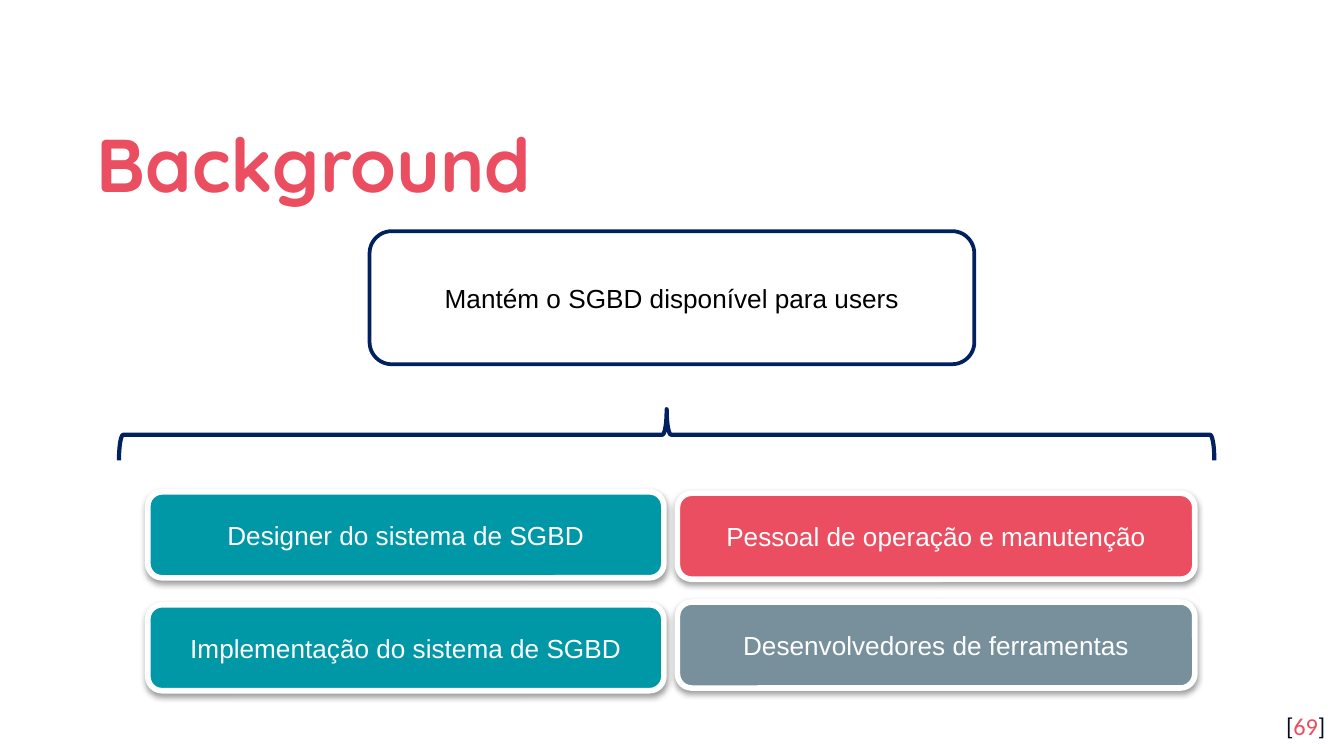
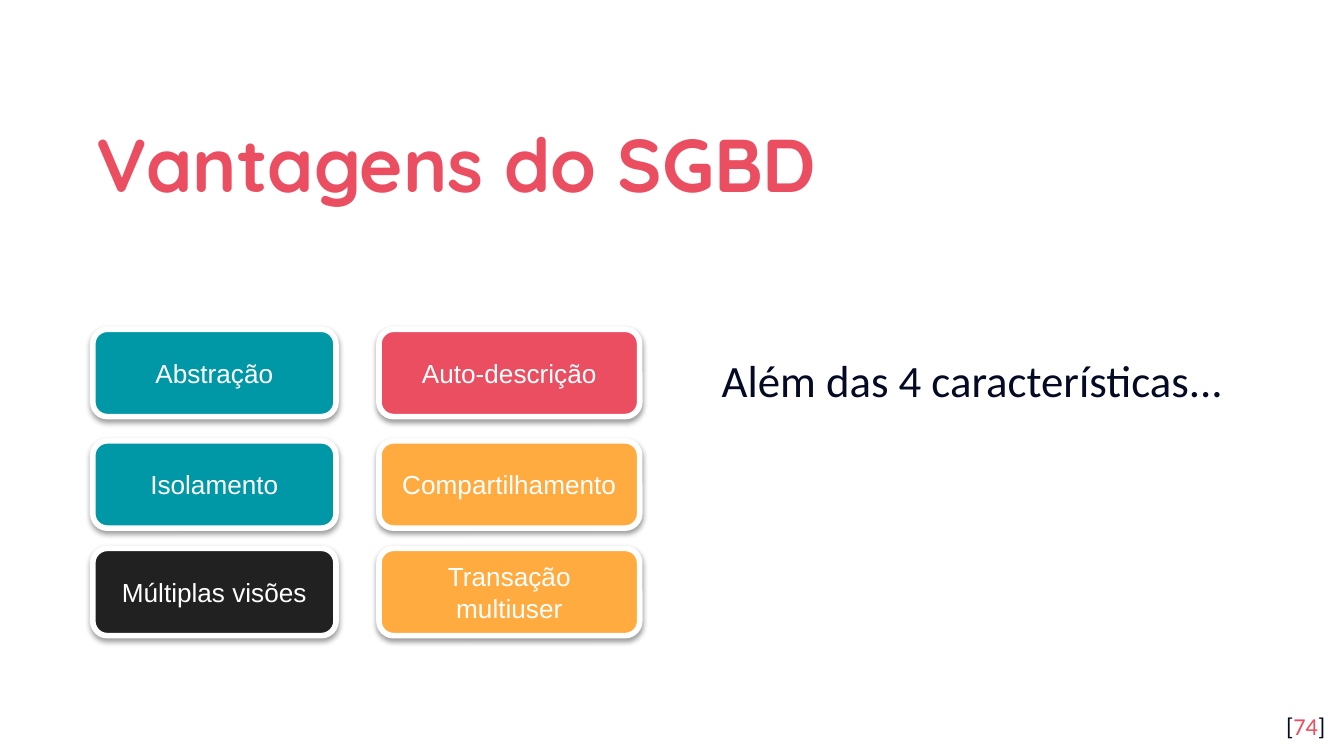
from dataclasses import dataclass

from lxml import etree
from pptx import Presentation
from pptx.dml.color import RGBColor
from pptx.enum.shapes import MSO_SHAPE
from pptx.enum.text import MSO_ANCHOR, MSO_AUTO_SIZE, PP_ALIGN
from pptx.oxml.ns import qn
from pptx.util import Emu, Inches, Pt

ROUNDED = MSO_SHAPE.ROUNDED_RECTANGLE
BRACE = MSO_SHAPE.LEFT_BRACE
TOP, MIDDLE = MSO_ANCHOR.TOP, MSO_ANCHOR.MIDDLE
LEFT, CENTER, RIGHT, JUSTIFY = (
    PP_ALIGN.LEFT, PP_ALIGN.CENTER, PP_ALIGN.RIGHT, PP_ALIGN.JUSTIFY)
NO_AUTOFIT = MSO_AUTO_SIZE.NONE
TITLE_ONLY, TITLE_AND_BODY = 5, 1


@dataclass(frozen=True)
class Theme:
    white: str = "FFFFFF"
    black: str = "000000"
    ink: str = "040A24"
    red: str = "EA4E60"
    teal: str = "0097A7"
    slate: str = "78909C"
    amber: str = "FFAB40"
    charcoal: str = "212121"
    navy: str = "002060"
    title_font: str = "Quicksand"
    body_font: str = "Calibri"
    box_font: str = "Arial"
    title_size: int = 40
    body_size: int = 24
    box_size: int = 14
    number_size: int = 13


THEME = Theme()


def rgb(color):
    return RGBColor.from_string(color)


def place(shape, left, top, width, height):
    shape.left, shape.top = Inches(left), Inches(top)
    shape.width, shape.height = Inches(width), Inches(height)


def set_frame(frame, anchor, inset_y=0.1):
    frame.word_wrap = True
    frame.auto_size = NO_AUTOFIT
    frame.vertical_anchor = anchor
    frame.margin_left = frame.margin_right = Inches(0.1)
    frame.margin_top = frame.margin_bottom = Inches(inset_y)


def set_font(paragraph, name, size, color, align, bold=False):
    paragraph.alignment = align
    font = paragraph.font
    font.name, font.size, font.bold = name, Pt(size), bold
    font.color.rgb = rgb(color)


def set_title(slide, text):
    title = slide.shapes.title
    place(title, 0.62, 0.7, 8.77, 0.92)
    set_frame(title.text_frame, MIDDLE)
    title.text_frame.text = text
    paragraph = title.text_frame.paragraphs[0]
    paragraph.line_spacing = 1.15
    set_font(paragraph, THEME.title_font, THEME.title_size, THEME.red, LEFT, True)


def set_body(slide, text):
    body = slide.placeholders[1]
    place(body, 5.27, 2.2, 4.01, 2.79)
    frame = body.text_frame
    set_frame(frame, TOP)
    frame.margin_top = Inches(0.37)
    frame.text = text
    paragraph = frame.paragraphs[0]
    # Plain text without bullet or hanging indent
    properties = paragraph._p.get_or_add_pPr()
    properties.set("marL", "0")
    properties.set("indent", "0")
    etree.SubElement(properties, qn("a:buNone"))
    paragraph.line_spacing = 1.14
    paragraph.space_before = Pt(0)
    set_font(paragraph, THEME.body_font, THEME.body_size, THEME.ink, JUSTIFY)


def add_page_number(slide, number):
    box = slide.shapes.add_textbox(
        Inches(9.36), Inches(5.19), Inches(0.6), Inches(0.43))
    set_frame(box.text_frame, TOP)
    paragraph = box.text_frame.paragraphs[0]
    set_font(paragraph, THEME.body_font, THEME.number_size, THEME.ink, RIGHT)
    for text, color in (("[", THEME.ink), (str(number), THEME.red), ("]", THEME.ink)):
        run = paragraph.add_run()
        run.text = text
        run.font.color.rgb = rgb(color)


def add_soft_shadow(shape):
    effects = shape._element.spPr.find(qn("a:effectLst"))
    shadow = etree.SubElement(
        effects, qn("a:outerShdw"), blurRad=str(Pt(3.1)), dist=str(Pt(1.6)),
        dir="5400000", rotWithShape="0")
    color = etree.SubElement(shadow, qn("a:srgbClr"), val=THEME.black)
    etree.SubElement(color, qn("a:alpha"), val="38000")


def add_outlined(shapes, kind, left, top, width, height, line, weight):
    shape = shapes.add_shape(
        kind, Inches(left), Inches(top), Inches(width), Inches(height))
    shape.shadow.inherit = False
    shape.line.color.rgb = rgb(line)
    shape.line.width = Pt(weight)
    return shape


def add_box(shapes, text, bounds, fill, line=THEME.white, weight=3, color=THEME.white):
    box = add_outlined(shapes, ROUNDED, *bounds, line, weight)
    box.fill.solid()
    box.fill.fore_color.rgb = rgb(fill)
    set_frame(box.text_frame, MIDDLE, 0.05)
    box.text_frame.text = text
    set_font(box.text_frame.paragraphs[0], THEME.box_font, THEME.box_size,
             color, CENTER)
    return box


def add_card(shapes, text, bounds, fill):
    add_soft_shadow(add_box(shapes, text, bounds, fill))


def add_slide(prs, layout, title, number):
    slide = prs.slides.add_slide(prs.slide_layouts[layout])
    set_title(slide, title)
    add_page_number(slide, number)
    return slide


def build_background(prs):
    slide = add_slide(prs, TITLE_ONLY, "Background", 69)
    # Roles that keep the system running
    roles = (
        ("Designer do sistema de SGBD", (1.1, 3.66, 3.84, 0.64), THEME.teal),
        ("Implementação do sistema de SGBD", (1.1, 4.5, 3.84, 0.64), THEME.teal),
        ("Pessoal de operação e manutenção", (5.04, 3.67, 3.85, 0.64), THEME.red),
        ("Desenvolvedores de ferramentas", (5.04, 4.48, 3.85, 0.64), THEME.slate),
    )
    for text, bounds, fill in roles:
        add_card(slide.shapes, text, bounds, fill)
    # Brace joining the roles to their purpose
    brace = add_outlined(slide.shapes, BRACE, 4.77, -0.84, 0.38, 8.15,
                         THEME.navy, 2.25)
    brace.fill.background()
    brace.rotation = 90
    add_box(slide.shapes, "Mantém o SGBD disponível para users",
            (2.75, 1.72, 4.5, 0.99), THEME.white, THEME.navy, 2, THEME.black)


def build_advantages(prs):
    slide = add_slide(prs, TITLE_AND_BODY, "Vantagens do SGBD", 74)
    set_body(slide, "Além das 4 características...")
    # Grid of advantages
    columns = ((0.69, 1.81), (2.82, 1.94))
    rows = (
        (2.45, ("Abstração", THEME.teal), ("Auto-descrição", THEME.red)),
        (3.28, ("Isolamento", THEME.teal), ("Compartilhamento", THEME.amber)),
        (4.08, ("Múltiplas visões", THEME.charcoal),
         ("Transação multiuser", THEME.amber)),
    )
    advantages = slide.shapes.add_group_shape()
    for top, *cards in rows:
        for (left, width), (text, fill) in zip(columns, cards):
            add_card(advantages.shapes, text, (left, top, width, 0.65), fill)


def main():
    prs = Presentation()
    prs.slide_width, prs.slide_height = Inches(10), Emu(Inches(5.625))
    build_background(prs)
    build_advantages(prs)
    prs.save("out.pptx")


if __name__ == "__main__":
    main()
